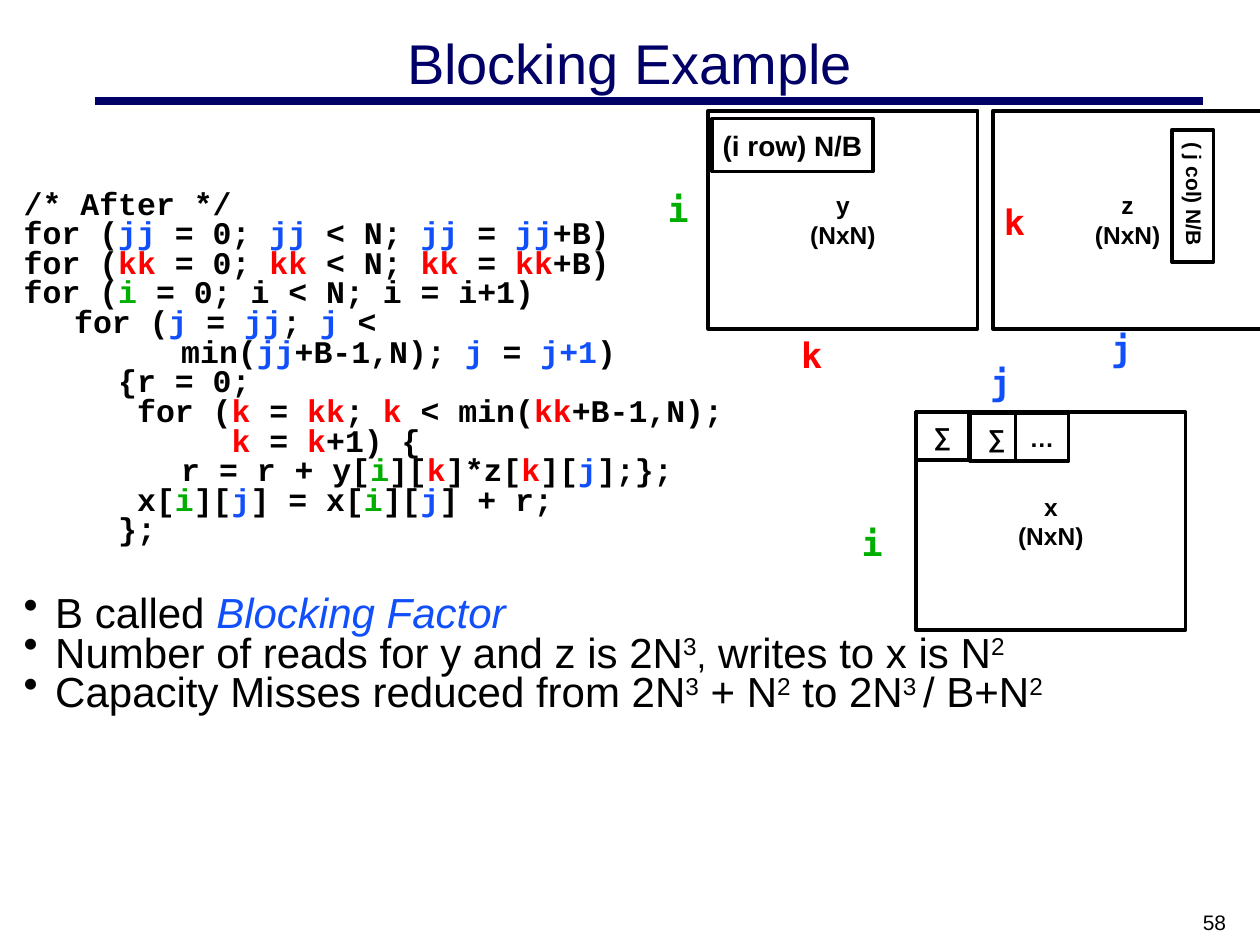
from lxml.etree import SubElement
from pptx import Presentation
from pptx.dml.color import RGBColor
from pptx.enum.shapes import MSO_CONNECTOR, MSO_SHAPE
from pptx.enum.text import MSO_ANCHOR, MSO_AUTO_SIZE, PP_ALIGN
from pptx.oxml.ns import qn
from pptx.util import Inches, Pt

NAVY = RGBColor(0x00, 0x00, 0x66)
BLACK = RGBColor(0, 0, 0)
WHITE = RGBColor(255, 255, 255)
GREEN = RGBColor(0x00, 0xAE, 0x00)
RED = RGBColor(0xFF, 0, 0)
BLUE = RGBColor(0x11, 0x4F, 0xFB)
INDEX_COLOR = {"i": GREEN, "j": BLUE, "k": RED}

# Code lines: loop indices between bars take the colour of their letter
CODE = [
    "/* After */",
    "for (|jj| = 0; |jj| < N; |jj| = |jj|+B)",
    "for (|kk| = 0; |kk| < N; |kk| = |kk|+B)",
    "for (|i| = 0; i < N; i = i+1)",
    "\t for (|j| = |jj|; |j| <",
    "\t\t\tmin(|jj|+B-1,N); |j| = |j+1|)",
    "\t\t{r = 0;",
    "\t\t for (|k| = |kk|; |k| < min(|kk|+B-1,N);",
    "|k| = |k|+1) {",
    "\t\t\tr = r + y[|i|][|k|]*z[|k|][|j|];};",
    "\t\t x[|i|][|j|] = x[|i|][|j|] + r;",
    "\t\t};",
]
CONTINUATION = 8  # code line that hangs under the inner loop header

# Bullets: runs of (text, style)
BULLETS = [
    [("B called ", ""), ("Blocking Factor", "term")],
    [("Number of reads for y and z is 2N", ""), ("3", "sup"), (",", "small"),
     (" writes to x is N", ""), ("2", "sup")],
    [("Capacity Misses reduced from 2N", ""), ("3", "sup"), (" + N", ""), ("2", "sup"),
     (" to 2N", ""), ("3 ", "sup"), ("/ B+N", ""), ("2", "sup")],
]

# Boxes: text lines, left, top, width, height, text size, fill
MATRIX = (2.14, 1.73)
CELL = (0.42, 0.38)
BOXES = [
    (["∑"], 7.27, 3.27, *CELL, 14, WHITE),
    (["∑"], 7.7, 3.28, *CELL, 14, WHITE),
    (["…"], 8.06, 3.28, *CELL, 14, WHITE),
    (["x", "(NxN)"], 7.27, 3.27, *MATRIX, 14, None),
    (["(i row) N/B"], 5.65, 0.94, 1.28, 0.42, 16, WHITE),
    (["y", "(NxN)"], 5.62, 0.88, *MATRIX, 14, None),
    (["z", "(NxN)"], 7.88, 0.88, *MATRIX, 14, None),
]

# Axis labels: index, left, top
AXES = [("i", 5.2, 1.44), ("i", 6.74, 4.09), ("k", 6.26, 2.6),
        ("k", 7.87, 1.54), ("j", 7.76, 2.81), ("j", 8.72, 2.54)]

prs = Presentation()
prs.slide_width, prs.slide_height = Inches(10), Inches(7.5)
slide = prs.slides.add_slide(prs.slide_layouts[6])


def set_font(paragraph, name, size, color=BLACK, bold=False):
    font = paragraph.font
    font.name, font.size, font.bold = name, Pt(size), bold
    font.color.rgb = color


def add_text(text, left, top, width, height, name, size, color=BLACK, bold=False, align=None):
    box = slide.shapes.add_textbox(*map(Inches, (left, top, width, height)))
    frame = box.text_frame
    frame.word_wrap = True
    line = frame.paragraphs[0]
    line.text, line.alignment = text, align
    set_font(line, name, size, color, bold)
    return frame


def add_box(lines, left, top, width, height, size, fill, align=PP_ALIGN.CENTER):
    box = slide.shapes.add_shape(MSO_SHAPE.RECTANGLE, *map(Inches, (left, top, width, height)))
    box.shadow.inherit = False
    if fill is None:
        box.fill.background()
    else:
        box.fill.solid()
        box.fill.fore_color.rgb = fill
    box.line.color.rgb, box.line.width = BLACK, Pt(2)
    frame = box.text_frame
    frame.word_wrap = False
    frame.vertical_anchor = MSO_ANCHOR.MIDDLE
    frame.text = "\n".join(lines)
    for line in frame.paragraphs:
        line.alignment = align
        set_font(line, "Arial", size, bold=True)
    return box


def format_body(paragraph, bullet=False, left=0.25, hanging=-0.25, before=None):
    """Tight spacing, hanging indent and tab stops shared by code and bullets."""
    paragraph.line_spacing = 0.7
    props = paragraph._p.get_or_add_pPr()
    props.set("marL", str(Inches(left)))
    props.set("indent", str(Inches(hanging)))
    if before:
        paragraph.space_before = Pt(before)
    else:
        gap = SubElement(props, qn("a:spcBef"))
        SubElement(gap, qn("a:spcPct"), val="10000")
    if bullet:
        SubElement(props, qn("a:buChar"), char="•")
    else:
        SubElement(props, qn("a:buNone"))
    tabs = SubElement(props, qn("a:tabLst"))
    for stop in (0.75, 1.19):
        SubElement(tabs, qn("a:tab"), pos=str(Inches(stop)), algn="l")


# Title and rule
rule = slide.shapes.add_connector(
    MSO_CONNECTOR.STRAIGHT, Inches(0.75), Inches(0.8), Inches(9.55), Inches(0.8))
rule.line.color.rgb, rule.line.width = NAVY, Pt(4.5)
SubElement(rule._element.spPr, qn("a:effectLst"))
title = add_text("Blocking Example", 0.5, 0.08, 9, 0.83, "Arial", 32, NAVY, align=PP_ALIGN.CENTER)
title.vertical_anchor = MSO_ANCHOR.MIDDLE

# Code listing
body = slide.shapes.add_textbox(Inches(0.09), Inches(1.49), Inches(9.04), Inches(5.75)).text_frame
body.word_wrap = True
for number, code in enumerate(CODE):
    line = body.add_paragraph() if number else body.paragraphs[0]
    if number == CONTINUATION:
        format_body(line, left=1.65, hanging=0)
    else:
        format_body(line)
    set_font(line, "Courier New", 18, bold=True)
    for part, token in enumerate(code.split("|")):
        if token:
            run = line.add_run()
            run.text = token
            if part % 2:
                run.font.color.rgb = INDEX_COLOR[token[0]]

# Bullets, set off from the code by a wider gap
for number, runs in enumerate(BULLETS):
    line = body.add_paragraph()
    format_body(line, bullet=True, before=None if number else 31)
    set_font(line, "Arial", 24)
    for text, style in runs:
        run = line.add_run()
        run.text = text
        if style == "term":
            run.font.italic = True
            run.font.color.rgb = BLUE
        elif style == "small":
            run.font.size = Pt(20)
        elif style == "sup":
            run.font._element.set("baseline", "30000")

# Matrices and their blocks
for box in BOXES:
    add_box(*box)
column = add_box(["( j col) N/B"], 8.94, 1.39, 1.05, 0.33, 12, None, PP_ALIGN.LEFT)
column.rotation = 90
column.text_frame.word_wrap = True
column.text_frame.vertical_anchor = MSO_ANCHOR.TOP

# Axis labels and slide number
for index, left, top in AXES:
    label = add_text(index, left, top, 0.36, 0.44, "DejaVu Sans Mono", 20, INDEX_COLOR[index], True)
    label.auto_size = MSO_AUTO_SIZE.SHAPE_TO_FIT_TEXT
add_text("58", 7.5, 7.17, 2.33, 0.25, "Arial", 12, align=PP_ALIGN.RIGHT)

prs.save("out.pptx")
